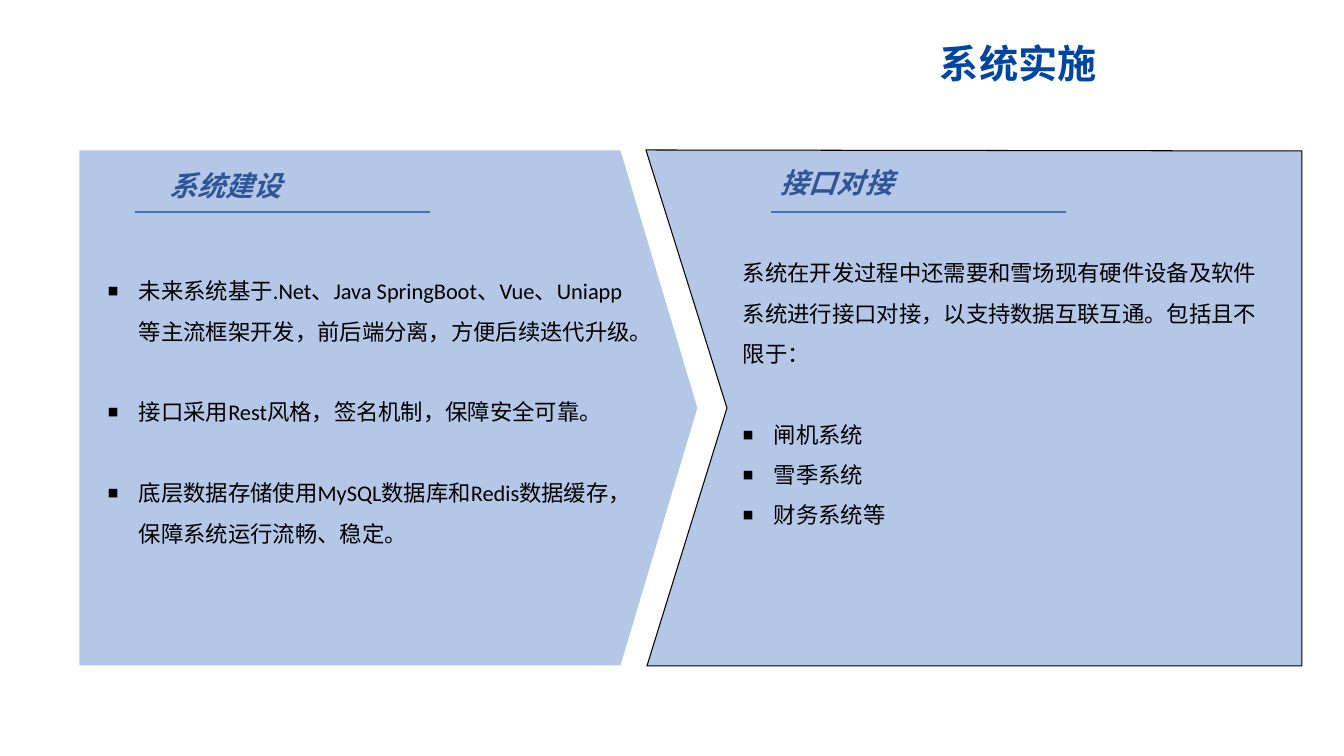
from lxml.etree import SubElement
from pptx import Presentation
from pptx.dml.color import RGBColor
from pptx.enum.shapes import MSO_CONNECTOR as CONN, MSO_SHAPE as SHAPE
from pptx.enum.text import MSO_ANCHOR as ANCHOR, PP_ALIGN as ALIGN
from pptx.oxml.ns import qn
from pptx.util import Pt

PX = 914400 / 100.8
CJK, LATIN = "Noto Sans CJK SC", "Calibri"
PANEL, HEAD, RULE, BLACK = "B4C7E7", "2F5597", "4472C4", "000000"

TITLE = ("系统实施", (930, 34, 178, 57))
PANELS = [
    dict(
        outline=[(646, 150), (727, 408), (647, 666), (1302, 666), (1302, 151)],
        edge=BLACK,
        heading=("接口对接", (771, 160, 353, 44)),
        rule=(771, 212),
        body=(733, 241, 549, 350),
        items=[
            ("系统在开发过程中还需要和雪场现有硬件设备及软件系统进行接口对接，"
             "以支持数据互联互通。包括且不限于：", False, 0),
            ("闸机系统", True, 29),
            ("雪季系统", True, 0),
            ("财务系统等", True, 0),
        ],
    ),
    dict(
        outline=[(621, 150), (79, 150), (79, 666), (621, 666), (698, 408)],
        edge="FFFFFF",
        heading=("系统建设", (160, 163, 357, 44)),
        rule=(135, 212),
        body=(98, 259, 548, 336),
        items=[
            ("未来系统基于.Net、Java SpringBoot、Vue、Uniapp等主流框架开发，"
             "前后端分离，方便后续迭代升级。", True, 0),
            ("接口采用Rest风格，签名机制，保障安全可靠。", True, 29),
            ("底层数据存储使用MySQL数据库和Redis数据缓存，"
             "保障系统运行流畅、稳定。", True, 29),
        ],
    ),
]
RULE_W = 295
INDENT = 31


def px(*values):
    return [round(v * PX) for v in values]


def color(value):
    return RGBColor.from_string(value)


def paint(sp, fill):
    sp.shadow.inherit = False
    sp.fill.solid()
    sp.fill.fore_color.rgb = color(fill)


def add_run(p, text, size, font, rgb, bold=False, italic=False):
    r = p.add_run()
    r.text = text
    f = r.font
    f.size, f.name, f.bold, f.italic = Pt(size), font, bold, italic
    f.color.rgb = color(rgb)
    rPr = r._r.get_or_add_rPr()
    rPr.set("lang", "zh-CN")
    SubElement(rPr, qn("a:ea")).set("typeface", CJK)


def add_bullet(p):
    pPr = p._p.get_or_add_pPr()
    indent, = px(INDENT)
    pPr.set("marL", str(indent))
    pPr.set("indent", str(-indent))
    SubElement(pPr, qn("a:buSzPct")).set("val", "50000")
    SubElement(pPr, qn("a:buFont")).set("typeface", LATIN)
    SubElement(pPr, qn("a:buChar")).set("char", "■")


def add_panel(s, outline, edge):
    builder = s.shapes.build_freeform(*outline[0], scale=PX)
    builder.add_line_segments(outline[1:], close=True)
    sp = builder.convert_to_shape()
    paint(sp, PANEL)
    sp.line.color.rgb = color(edge)
    sp.line.width = Pt(0.75)


def add_heading(s, text, box):
    sp = s.shapes.add_shape(SHAPE.RECTANGLE, *px(*box))
    paint(sp, PANEL)
    sp.line.fill.background()
    sp.text_frame.vertical_anchor = ANCHOR.MIDDLE
    p = sp.text_frame.paragraphs[0]
    p.alignment = ALIGN.LEFT
    add_run(p, text, 20, CJK, HEAD, bold=True, italic=True)


def add_rule(s, x, y):
    line = s.shapes.add_connector(CONN.STRAIGHT, *px(x, y, x + RULE_W, y))
    line.line.color.rgb = color(RULE)
    line.line.width = Pt(1)
    SubElement(line._element.spPr, qn("a:effectLst"))


def add_body(s, box, items):
    tf = s.shapes.add_textbox(*px(*box)).text_frame
    tf.word_wrap = True
    for i, (text, bulleted, before) in enumerate(items):
        p = tf.add_paragraph() if i else tf.paragraphs[0]
        p.line_spacing = 1.5
        p.space_before = Pt(before)
        if bulleted:
            add_bullet(p)
        add_run(p, text, 16, LATIN, BLACK)


def main():
    prs = Presentation()
    prs.slide_width, prs.slide_height = px(1344, 756)
    s = prs.slides.add_slide(prs.slide_layouts[6])

    text, box = TITLE
    tf = s.shapes.add_textbox(*px(*box)).text_frame
    tf.word_wrap = False
    add_run(tf.paragraphs[0], text, 28, CJK, "0046A0", bold=True)

    for panel in PANELS:
        add_panel(s, panel["outline"], panel["edge"])
        add_heading(s, *panel["heading"])
        add_rule(s, *panel["rule"])
        add_body(s, panel["body"], panel["items"])

    prs.save("out.pptx")


if __name__ == "__main__":
    main()
